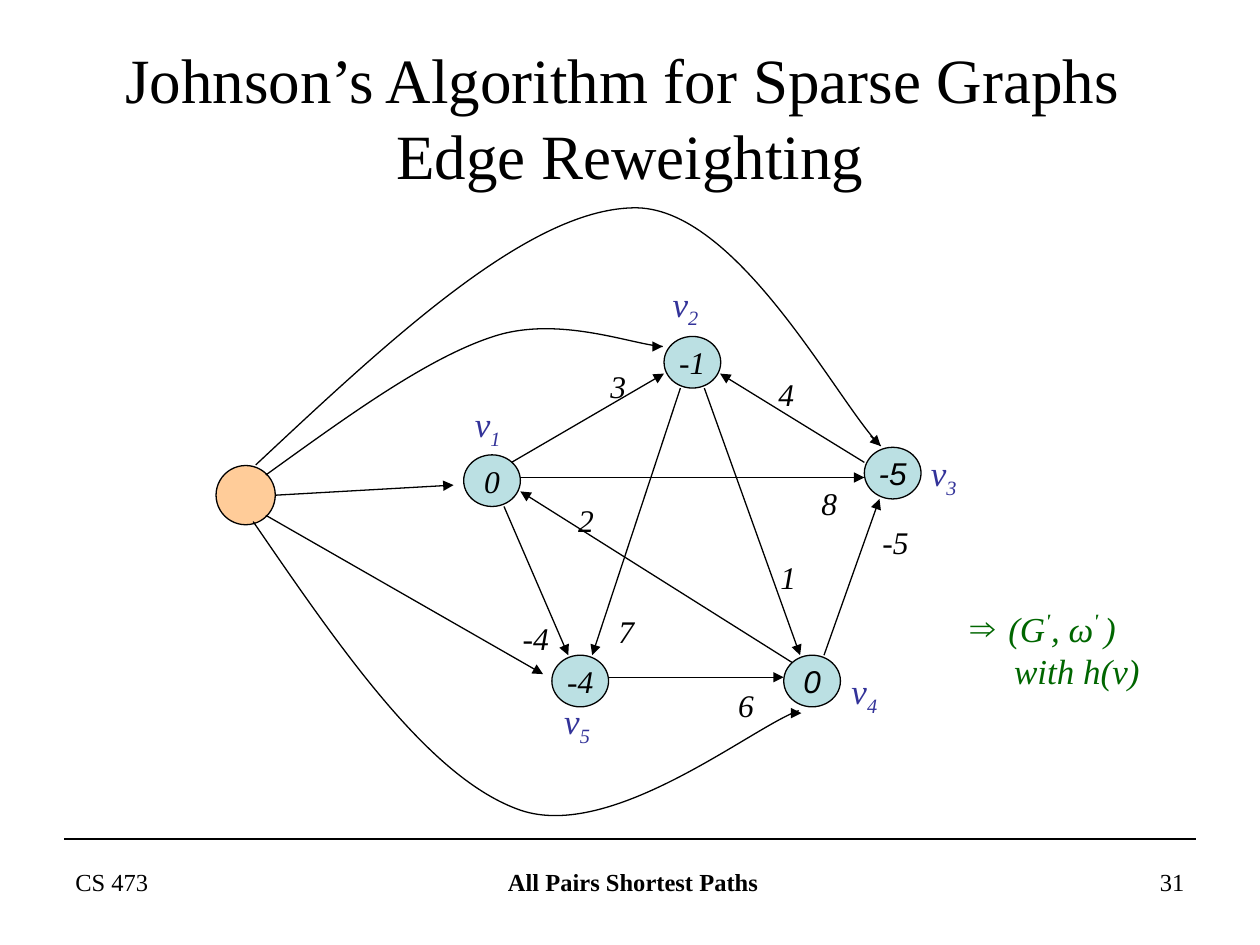
from lxml import etree
from pptx import Presentation
from pptx.dml.color import RGBColor
from pptx.enum.shapes import MSO_CONNECTOR, MSO_SHAPE
from pptx.enum.text import MSO_ANCHOR, MSO_AUTO_SIZE, PP_ALIGN
from pptx.oxml.ns import qn
from pptx.util import Inches, Pt

LEFT, CENTER, RIGHT = PP_ALIGN.LEFT, PP_ALIGN.CENTER, PP_ALIGN.RIGHT
TOP, MIDDLE = MSO_ANCHOR.TOP, MSO_ANCHOR.MIDDLE
STRAIGHT, OVAL = MSO_CONNECTOR.STRAIGHT, MSO_SHAPE.OVAL
NO_FIT = MSO_AUTO_SIZE.NONE

BLACK = RGBColor(0x00, 0x00, 0x00)
NODE_BLUE = RGBColor(0xBB, 0xE0, 0xE3)
SOURCE_ORANGE = RGBColor(0xFF, 0xCC, 0x99)
NAME_BLUE = RGBColor(0x33, 0x33, 0x99)
NOTE_GREEN = RGBColor(0x00, 0x66, 0x00)
SERIF, SANS = "Times New Roman", "Arial"

# The slide is a grid of 100 columns by 75 rows; every length is in cells.
COLUMNS, ROWS = 100, 75
CELL = Inches(10) // COLUMNS
NODE_WIDTH, NODE_HEIGHT, SOURCE_SIZE = 4.5, 4.1, 4.7

# name: centre, value, font, offset of the name label from the centre
NODES = {
    "1": ((22.05, 22.15), "0", SERIF, (-2.35, -6.7)),
    "2": ((37.95, 12.75), "-1", SERIF, (-2.55, -6.85)),
    "3": ((53.85, 21.55), "-5", SANS, (2.05, -2.2)),
    "4": ((47.45, 38.05), "0", SANS, (2.15, -1.4)),
    "5": ((29.05, 38.05), "-4", SERIF, (-2.25, 0.95)),
}
SOURCE = (2.5, 23.3)

# start node, offset from its centre, end node, offset from its centre
EDGES = [
    ("1", (1.55, -1.45), "2", (-2.25, 0.9)),
    ("3", (-2.25, -0.85), "2", (2.2, 0.9)),
    ("4", (0.95, -2.05), "3", (-1.05, 2.05)),
    ("5", (2.25, -0.3), "4", (-2.25, -0.3)),
    ("1", (0.95, 2.05), "5", (-0.95, -2.05)),
    ("2", (-0.95, 2.05), "5", (0.95, -2.05)),
    ("2", (0.95, 2.05), "4", (-0.95, -2.05)),
    ("4", (-1.55, -1.45), "1", (2.25, 0.85)),
    ("1", (2.25, -0.25), "3", (-2.25, 0.35)),
]
WEIGHTS = [
    ("2", 27.9, 23.25), ("1", 43.95, 27.8), ("4", 43.8, 13.25),
    ("3", 30.45, 12.65), ("8", 47.2, 21.9), ("-5", 52.05, 25),
    ("-4", 23.5, 32.65), ("6", 40.6, 37.95), ("7", 31.1, 32.05),
]
SOURCE_EDGES = [((4.9, 23.3), (19, 22.5)), ((4.1, 24.9), (26.1, 37.5))]

# Bezier points (start, then three for each piece) and the arrow tip
CURVES = [
    ([(3.3, 20.9), (14.1, 10.8), (24.9, 0.7), (33.2, 0.5),
      (41.5, 0.2), (49.6, 16.2), (52.9, 19.4)], ((52.1, 18.6), (52.9, 19.4))),
    ([(4.1, 21.7), (10.5, 17.1), (16.9, 12.4), (22.2, 10.7),
      (27.4, 9), (33.3, 11.4), (35.6, 11.5)], ((34.8, 11.5), (35.6, 11.5))),
    ([(3.1, 25.4), (10.1, 35.6), (17.1, 45.8), (24.3, 48.3),
      (31.6, 50.8), (42.7, 41.7), (46.4, 40.4)], ((45.8, 40.6), (46.6, 40.6))),
]


def cells(*values):
    return [round(value * CELL) for value in values]


def shift(point, offset):
    return point[0] + offset[0], point[1] + offset[1]


def format_text(shape, paragraphs, size=18, font=SERIF, color=BLACK, bold=False,
                italic=False, align=LEFT, anchor=TOP, wrap=True):
    """Fill a shape with paragraphs, each a list of (text, baseline percent) runs."""
    frame = shape.text_frame
    frame.word_wrap, frame.vertical_anchor = wrap, anchor
    frame.auto_size = NO_FIT
    for index, runs in enumerate(paragraphs):
        paragraph = frame.paragraphs[0] if index == 0 else frame.add_paragraph()
        paragraph.alignment = align
        for text, baseline in runs:
            if text == "\n":
                paragraph.add_line_break()
                continue
            run = paragraph.add_run()
            run.text = text
            run.font.size, run.font.name = Pt(size), font
            run.font.bold, run.font.italic = bold or baseline > 0, italic
            run.font.color.rgb = color
            if baseline:
                run.font._element.set("baseline", str(baseline * 1000))
    return frame


def add_text(slide, box, paragraphs, **style):
    return format_text(slide.shapes.add_textbox(*cells(*box)), paragraphs, **style)


def add_line(slide, start, end, arrow=True):
    line = slide.shapes.add_connector(STRAIGHT, *cells(*start, *end))
    line.line.color.rgb, line.line.width = BLACK, Pt(0.75)
    if arrow:
        etree.SubElement(line.line._get_or_add_ln(), qn("a:tailEnd"), type="triangle")
    etree.SubElement(line._element.spPr, qn("a:effectLst"))


def add_circle(slide, center, width, height, color):
    box = cells(center[0] - width / 2, center[1] - height / 2, width, height)
    circle = slide.shapes.add_shape(OVAL, *box)
    circle.shadow.inherit = False
    circle.fill.solid()
    circle.fill.fore_color.rgb = color
    circle.line.color.rgb, circle.line.width = BLACK, Pt(0.75)
    return circle


def add_curve(slide, origin, controls):
    points = [cells(*shift(origin, control)) for control in controls]
    builder = slide.shapes.build_freeform(*points[0])
    builder.add_line_segments(points[1:], close=False)
    curve = builder.convert_to_shape()
    # Join every three line segments into one Bezier piece
    segments = list(curve._element.iter(qn("a:lnTo")))
    for first in range(0, len(segments), 3):
        bezier = etree.Element(qn("a:cubicBezTo"))
        segments[first].addprevious(bezier)
        for segment in segments[first:first + 3]:
            bezier.append(segment[0])
            segment.getparent().remove(segment)
    curve.shadow.inherit = False
    curve.fill.background()
    curve.line.color.rgb, curve.line.width = BLACK, Pt(0.75)


def place_title(slide, box):
    title = slide.shapes.title
    title.left, title.top, title.width, title.height = cells(*box)
    lines = [("Johnson’s Algorithm for Sparse Graphs ", 0), ("\n", 0),
             ("Edge Reweighting", 0)]
    format_text(title, [lines], size=36, align=CENTER, anchor=MIDDLE)


def place_graph(slide, origin):
    # Vertices with their values
    centers = {name: shift(origin, node[0]) for name, node in NODES.items()}
    for name, (_, value, font, _) in NODES.items():
        circle = add_circle(slide, centers[name], NODE_WIDTH, NODE_HEIGHT, NODE_BLUE)
        format_text(circle, [[(value, 0)]], font=font, italic=True, align=CENTER,
                    anchor=MIDDLE, wrap=False)
    # Weighted edges
    for start, start_offset, end, end_offset in EDGES:
        add_line(slide, shift(centers[start], start_offset),
                 shift(centers[end], end_offset))
    for weight, column, row in WEIGHTS:
        width = 2.3 + 0.9 * len(weight)
        add_text(slide, (*shift(origin, (column, row)), width, 4), [[(weight, 0)]],
                 italic=True, wrap=False)
    # Added source and its edges
    add_circle(slide, shift(origin, SOURCE), SOURCE_SIZE, SOURCE_SIZE, SOURCE_ORANGE)
    for controls, tip in CURVES:
        add_curve(slide, origin, controls)
        add_line(slide, *(shift(origin, point) for point in tip))
    for ends in SOURCE_EDGES:
        add_line(slide, *(shift(origin, point) for point in ends))
    # Vertex names
    for name, node in NODES.items():
        add_text(slide, (*shift(centers[name], node[3]), 4, 4.8),
                 [[("v", 0), (name, -25)]], size=20, color=NAME_BLUE, italic=True,
                 wrap=False)


def place_note(slide, box):
    frame = add_text(slide, box, [
        [(" (G", 0), ("'", 40), (", ω", 0), ("' ", 40), (")", 0)],
        [("with h(v)", 0)],
    ], size=20, color=NOTE_GREEN, italic=True)
    arrow, plain = (paragraph._p.get_or_add_pPr() for paragraph in frame.paragraphs)
    hanging = round(2.35 * CELL)
    arrow.set("marL", str(hanging))
    arrow.set("indent", str(-hanging))
    color = etree.SubElement(arrow, qn("a:buClr"))
    etree.SubElement(color, qn("a:srgbClr"), val=str(NOTE_GREEN))
    etree.SubElement(arrow, qn("a:buFont"), typeface=SERIF)
    etree.SubElement(arrow, qn("a:buChar"), char="⇒")
    plain.set("marL", str(round(3.5 * CELL)))


def place_footer(slide, box):
    left, top, width, height = box
    add_line(slide, (left + 0.1, top), (left + width - 0.1, top), arrow=False)
    for text, column, span, align, bold in (
            ("CS 473", 0, 23.3, LEFT, False),
            ("All Pairs Shortest Paths", 29.4, 31.7, CENTER, True),
            ("31", width - 23.3, 23.3, RIGHT, False)):
        add_text(slide, (left + column, top + 1.7, span, height - 1.7),
                 [[(text, 0)]], size=14, bold=bold, align=align)


def main():
    presentation = Presentation()
    presentation.slide_width, presentation.slide_height = cells(COLUMNS, ROWS)
    slide = presentation.slides.add_slide(presentation.slide_layouts[5])
    place_footer(slide, (5, 66.6, 90, 6.9))
    place_title(slide, (5, 6.2, 90, 6.1))
    place_graph(slide, (17, 16))
    place_note(slide, (76, 47.75, 17.1, 7.7))
    presentation.save("out.pptx")


if __name__ == "__main__":
    main()
